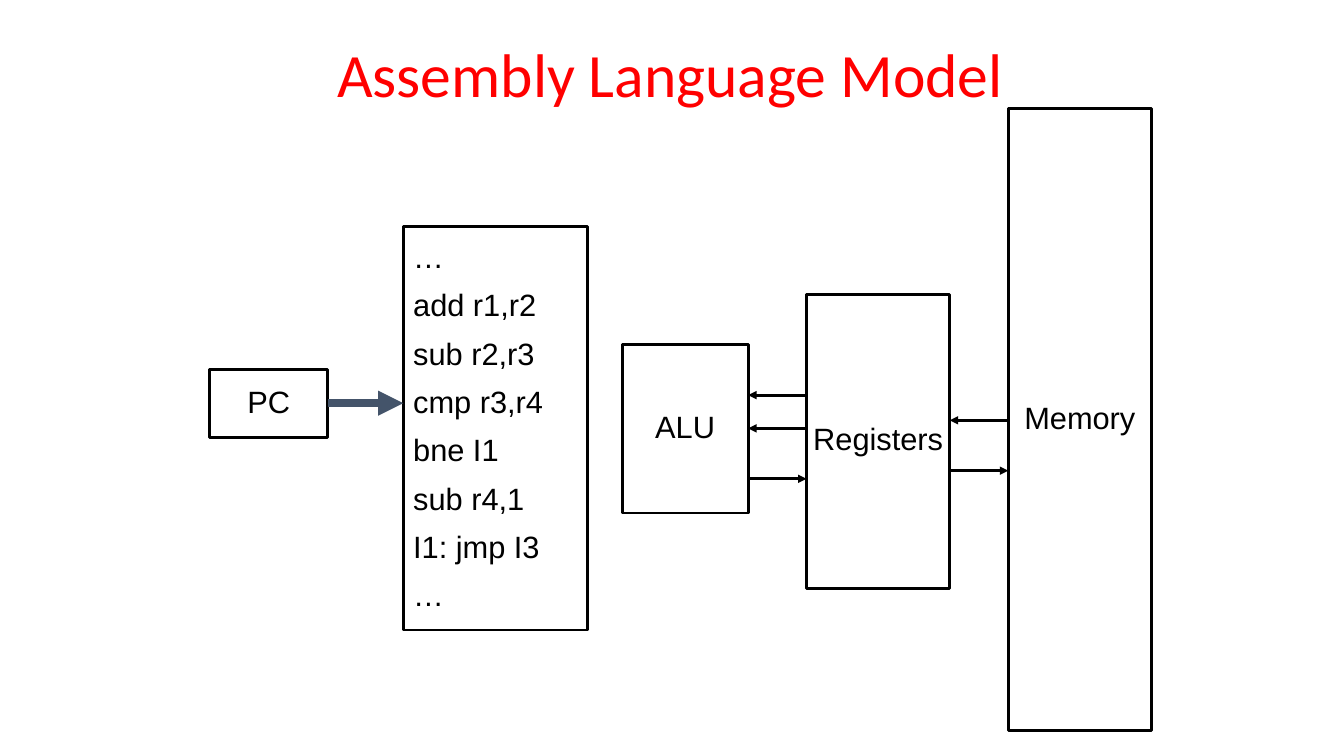
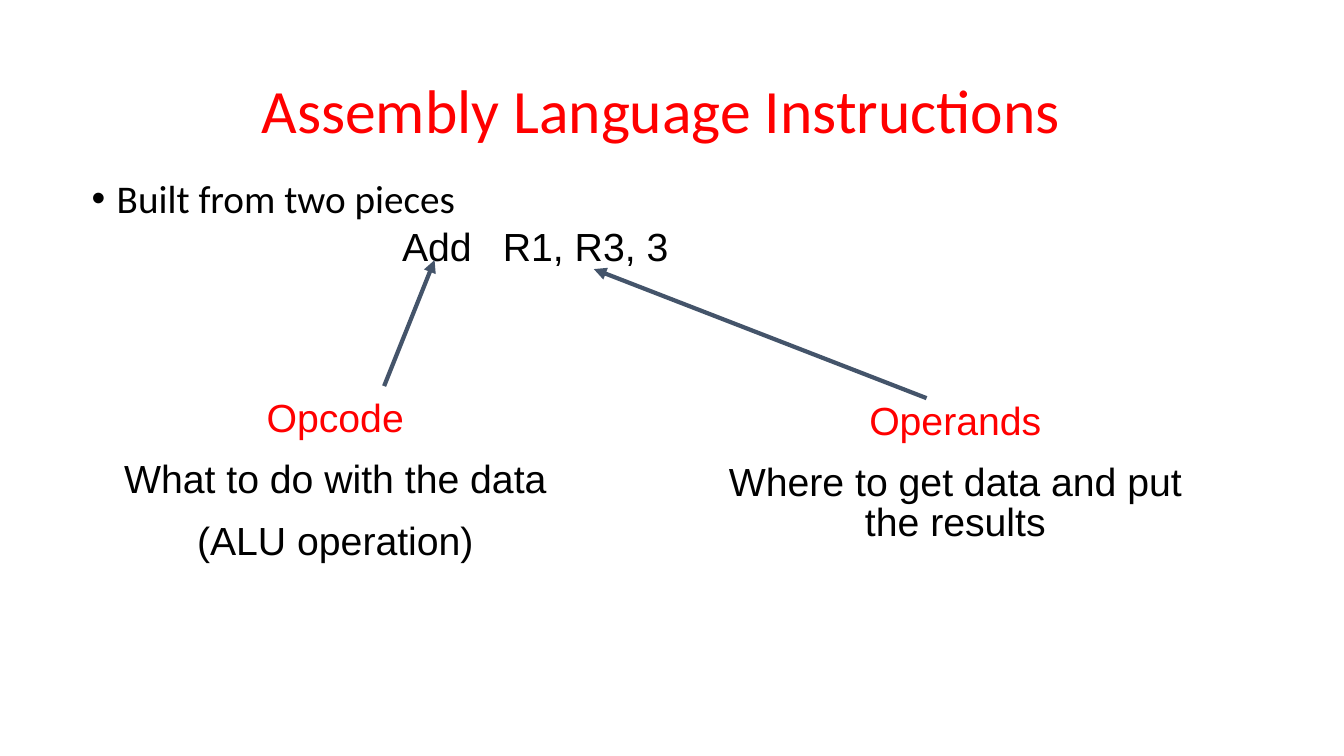
from dataclasses import dataclass

from lxml import etree
from pptx import Presentation
from pptx.dml.color import RGBColor
from pptx.enum.shapes import MSO_CONNECTOR, MSO_SHAPE
from pptx.enum.text import MSO_ANCHOR, PP_ALIGN
from pptx.oxml.ns import qn
from pptx.util import Inches, Pt

LEFT, CENTER = PP_ALIGN.LEFT, PP_ALIGN.CENTER
TOP, MIDDLE = MSO_ANCHOR.TOP, MSO_ANCHOR.MIDDLE
RECT, STRAIGHT = MSO_SHAPE.RECTANGLE, MSO_CONNECTOR.STRAIGHT


@dataclass(frozen=True)
class Theme:
    red: str = "FF0000"
    black: str = "000000"
    slate: str = "44546A"
    head: str = "Calibri"
    body: str = "Arial"
    title: int = 44
    large: int = 28
    label: int = 22
    border: int = 2
    tight: float = 0.85
    normal: float = 0.9
    gap: float = 0.55  # space before, as a share of the type size


class Deck:
    def __init__(self, theme):
        self.theme = theme
        self.prs = Presentation()
        self.prs.slide_width = Inches(13.33)
        self.prs.slide_height = Inches(7.5)
        self.slide = None

    def start(self, title, left, top, height):
        """Add a slide and its title."""
        t = self.theme
        self.slide = self.prs.slides.add_slide(self.prs.slide_layouts[6])
        self.text([title], (left, top, 11.5, height), t.title, CENTER,
                  color=t.red, font=t.head, ratio=t.normal, anchor=MIDDLE)

    def fill(self, frame, lines, size, align, color=None, font=None,
             ratio=None, anchor=TOP, first=None):
        """Write lines into a frame; first is the colour of the top line."""
        t = self.theme
        color = color or t.black
        frame.vertical_anchor = anchor
        for i, line in enumerate(lines):
            para = frame.add_paragraph() if i else frame.paragraphs[0]
            para.text = line
            para.alignment = align
            para.line_spacing = ratio or t.tight
            para.space_before = Pt(size * t.gap if i else 0)
            para.font.name = font or t.body
            para.font.size = Pt(size)
            tone = color if i or not first else first
            para.font.color.rgb = RGBColor.from_string(tone)

    def text(self, lines, area, size, align=LEFT, **style):
        box = self.slide.shapes.add_textbox(*map(Inches, area))
        box.text_frame.word_wrap = True
        self.fill(box.text_frame, lines, size, align, **style)
        return box

    def bullet(self, line, area):
        t = self.theme
        box = self.text([], area, t.large)
        props = box.text_frame.paragraphs[0]._p.get_or_add_pPr()
        props.set("marL", str(Inches(0.25)))
        props.set("indent", str(Inches(-0.25)))
        etree.SubElement(props, qn("a:buFont")).set("typeface", t.body)
        etree.SubElement(props, qn("a:buChar")).set("char", "•")
        self.fill(box.text_frame, [line], t.large, LEFT,
                  font=t.head, ratio=t.normal)

    def box(self, lines, area, align=CENTER, wrap=False):
        t = self.theme
        shape = self.slide.shapes.add_shape(RECT, *map(Inches, area))
        shape.shadow.inherit = False
        shape.fill.background()
        shape.line.color.rgb = RGBColor.from_string(t.black)
        shape.line.width = Pt(t.border)
        shape.text_frame.word_wrap = wrap
        self.fill(shape.text_frame, lines, t.label, align, anchor=MIDDLE)

    def arrow(self, start, end, color, width):
        line = self.slide.shapes.add_connector(
            STRAIGHT, *map(Inches, (*start, *end)))
        line.line.color.rgb = RGBColor.from_string(color)
        line.line.width = Pt(width)
        tail = etree.SubElement(line.line._get_or_add_ln(), qn("a:tailEnd"))
        tail.set("type", "triangle")
        etree.SubElement(line._element.spPr, qn("a:effectLst"))


def model(deck):
    t = deck.theme
    deck.start("Assembly Language Model", 0.9, 0.2, 1.13)
    code = ["…", "add r1,r2", "sub r2,r3", "cmp r3,r4", "bne I1",
            "sub r4,1", "I1: jmp I3", "…"]
    deck.box(code, (4, 2.25, 1.83, 4), LEFT, wrap=True)
    for name, area in (
        ("PC", (2.08, 3.67, 1.17, 0.67)),
        ("ALU", (6.17, 3.42, 1.25, 1.67)),
        ("Registers", (8, 2.92, 1.42, 2.92)),
        ("Memory", (10, 1.08, 1.42, 6.17)),
    ):
        deck.box([name], area)
    deck.arrow((3.25, 4), (4, 4), t.slate, 6)
    alu, regs, out, mem = 7.42, 8, 9.42, 10  # facing edges of the boxes
    for start, end, y in (
        (regs, alu, 3.92), (regs, alu, 4.25), (alu, regs, 4.75),
        (mem, out, 4.17), (out, mem, 4.67),
    ):
        deck.arrow((start, y), (end, y), t.black, t.border)


def parts(deck):
    t = deck.theme
    deck.start("Assembly Language Instructions", 0.81, 0.4, 1.45)
    deck.bullet("Built from two pieces", (0.81, 1.73, 11.5, 4.76))
    deck.text(["Add\tR1, R3, 3"], (3.89, 2.23, 3, 0.5), t.large)
    for lines, area in (
        (["Opcode", "What to do with the data", "(ALU operation)"],
         (0.28, 3.92, 6.09, 1.77)),
        (["Operands", "Where to get data and put the results"],
         (7.11, 3.95, 4.73, 1.54)),
    ):
        deck.text(lines, area, t.large, CENTER, first=t.red)
    deck.arrow((3.81, 3.83), (4.31, 2.58), t.slate, 3)
    deck.arrow((9.19, 3.95), (5.89, 2.67), t.slate, 3)


def main():
    deck = Deck(Theme())
    model(deck)
    parts(deck)
    deck.prs.save("out.pptx")


if __name__ == "__main__":
    main()
